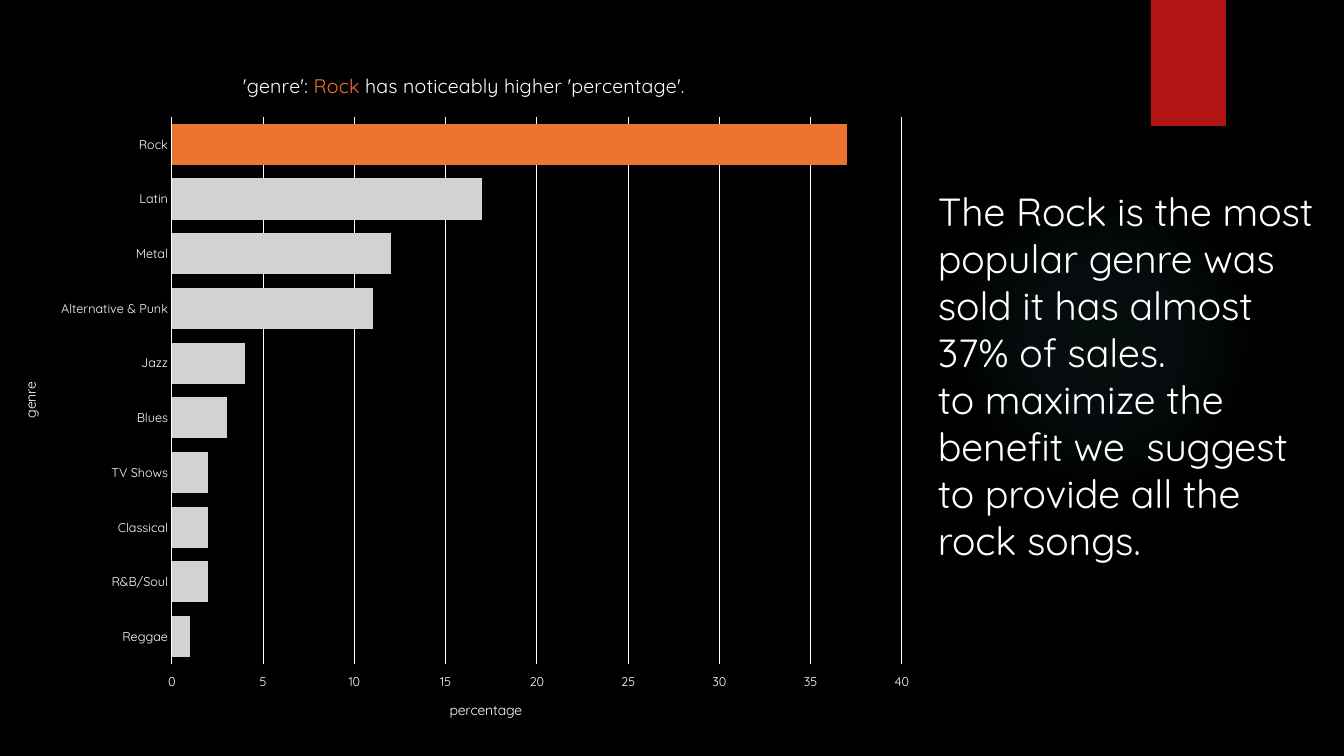
from lxml.etree import SubElement
from pptx import Presentation
from pptx.chart.data import CategoryChartData
from pptx.dml.color import RGBColor
from pptx.enum.chart import XL_CHART_TYPE, XL_TICK_LABEL_POSITION, XL_TICK_MARK
from pptx.enum.shapes import MSO_SHAPE
from pptx.enum.text import MSO_AUTO_SIZE
from pptx.oxml import parse_xml
from pptx.oxml.ns import nsdecls, qn
from pptx.util import Pt

EMU_PER_PX = 914400 / 100.8
FONT = "Quicksand"
COLORS = {
    "background": "000000",
    "text": "FFFFFF",
    "ribbon": "B01513",
    "glow": "50B9C1",
    "bar": "D2D2D2",
    "highlight": "ED7331",
}
CHART_BOX = (0, 49, 928, 690)
GENRES = {
    "Rock": 37,
    "Latin": 17,
    "Metal": 12,
    "Alternative & Punk": 11,
    "Jazz": 4,
    "Blues": 3,
    "TV Shows": 2,
    "Classical": 2,
    "R&B/Soul": 2,
    "Reggae": 1,
}
ADVICE = [
    "The Rock is the most popular genre was sold it has almost 37% of sales.",
    "to maximize the benefit we  suggest to provide all the rock songs.",
]


def px(length):
    return round(length * EMU_PER_PX)


def box(*lengths):
    return [px(length) for length in lengths]


def color(name):
    return RGBColor.from_string(COLORS[name])


def style_font(font, size, color_name="text"):
    font.name = FONT
    font.size = Pt(size)
    font.bold = False
    font.color.rgb = color(color_name)


def paint(format_owner, color_name):
    format_owner.fill.solid()
    format_owner.fill.fore_color.rgb = color(color_name)


def add_plain_shape(slide, kind, bounds, color_name):
    shape = slide.shapes.add_shape(kind, *box(*bounds))
    shape.shadow.inherit = False
    shape.line.fill.background()
    paint(shape, color_name)
    return shape


def add_glow(slide, bounds):
    shape = add_plain_shape(slide, MSO_SHAPE.OVAL, bounds, "glow")
    stops = "".join(
        f'<a:gs pos="{position}000"><a:srgbClr val="{COLORS["glow"]}">'
        f'<a:alpha val="{alpha}000"/></a:srgbClr></a:gs>'
        for position, alpha in [(0, 7), (36, 6), (69, 0)]
    )
    gradient = parse_xml(
        f'<a:gradFill {nsdecls("a")}><a:gsLst>{stops}</a:gsLst><a:path path="circle">'
        '<a:fillToRect l="50000" t="50000" r="50000" b="50000"/></a:path></a:gradFill>'
    )
    properties = shape._element.spPr
    properties.replace(properties.find(qn("a:solidFill")), gradient)


def set_layout(element, left, top, width=None, height=None):
    chart_left, chart_top, chart_width, chart_height = CHART_BOX
    layout = element.find(qn("c:layout"))
    if layout is None:
        layout = parse_xml(f'<c:layout {nsdecls("c")}/>')
        text = element.find(qn("c:tx"))
        if text is None:
            element.insert(0, layout)
        else:
            text.addnext(layout)
    manual = SubElement(layout, qn("c:manualLayout"))
    settings = [("xMode", "edge"), ("yMode", "edge")]
    if width:
        settings.insert(0, ("layoutTarget", "inner"))
    settings += [
        ("x", round((left - chart_left) / chart_width, 4)),
        ("y", round((top - chart_top) / chart_height, 4)),
    ]
    if width:
        settings += [("w", round(width / chart_width, 4)), ("h", round(height / chart_height, 4))]
    for tag, value in settings:
        SubElement(manual, qn(f"c:{tag}")).set("val", str(value))


def set_title(owner, parts, size, left, top):
    title = owner.axis_title if hasattr(owner, "axis_title") else owner.chart_title
    paragraph = title.text_frame.paragraphs[0]
    style_font(paragraph.font, size)
    for text, color_name in parts:
        run = paragraph.add_run()
        run.text = text
        style_font(run.font, size, color_name)
    set_layout(title._element, left, top)


def style_axis(axis):
    axis.major_tick_mark = XL_TICK_MARK.NONE
    axis.minor_tick_mark = XL_TICK_MARK.NONE
    style_font(axis.tick_labels.font, 9)


def style_white_line(line):
    line.color.rgb = color("text")
    line.width = Pt(0.75)


def add_genre_chart(slide):
    data = CategoryChartData()
    data.categories = list(GENRES)
    data.add_series("Series 1", list(GENRES.values()))
    chart = slide.shapes.add_chart(XL_CHART_TYPE.BAR_CLUSTERED, *box(*CHART_BOX), data).chart
    style_font(chart.font, 10)
    chart.has_legend = False
    set_title(
        chart,
        [("'genre': ", "text"), ("Rock", "highlight"),
         (" has noticeably higher 'percentage'.", "text")],
        14, 240, 68,
    )

    plot = chart.plots[0]
    plot.gap_width = 33
    plot.overlap = -30
    plot.vary_by_categories = False
    series = plot.series[0]
    paint(series.format, "bar")
    paint(series.points[0].format, "highlight")

    genre_axis = chart.category_axis
    style_axis(genre_axis)
    genre_axis.reverse_order = True
    style_white_line(genre_axis.format.line)
    set_title(genre_axis, [("genre", "text")], 10, 18, 379)

    percentage_axis = chart.value_axis
    style_axis(percentage_axis)
    percentage_axis.tick_label_position = XL_TICK_LABEL_POSITION.HIGH
    percentage_axis.minimum_scale = 0
    percentage_axis.maximum_scale = 40
    percentage_axis.major_unit = 5
    percentage_axis.format.line.fill.background()
    percentage_axis.has_major_gridlines = True
    style_white_line(percentage_axis.major_gridlines.format.line)
    percentage_axis.tick_labels.number_format = "0"
    percentage_axis.tick_labels.number_format_is_linked = False
    set_title(percentage_axis, [("percentage", "text")], 10, 447, 698)

    set_layout(chart._chartSpace.chart.plotArea, 172, 117, 730, 547)


def add_advice(slide, bounds):
    text_frame = slide.shapes.add_textbox(*box(*bounds)).text_frame
    text_frame.word_wrap = True
    text_frame.auto_size = MSO_AUTO_SIZE.SHAPE_TO_FIT_TEXT
    text_frame.text = "\n".join(ADVICE)
    for paragraph in text_frame.paragraphs:
        for run in paragraph.runs:
            style_font(run.font, 28)


def main():
    presentation = Presentation()
    presentation.slide_width = px(1344)
    presentation.slide_height = px(756)
    slide = presentation.slides.add_slide(presentation.slide_layouts[6])
    paint(slide.background, "background")
    add_glow(slide, (949, 184, 310, 310))
    add_plain_shape(slide, MSO_SHAPE.RECTANGLE, (1151, 0, 75, 126), "ribbon")
    add_genre_chart(slide)
    add_advice(slide, (928, 182, 402, 390))
    presentation.save("out.pptx")


if __name__ == "__main__":
    main()
